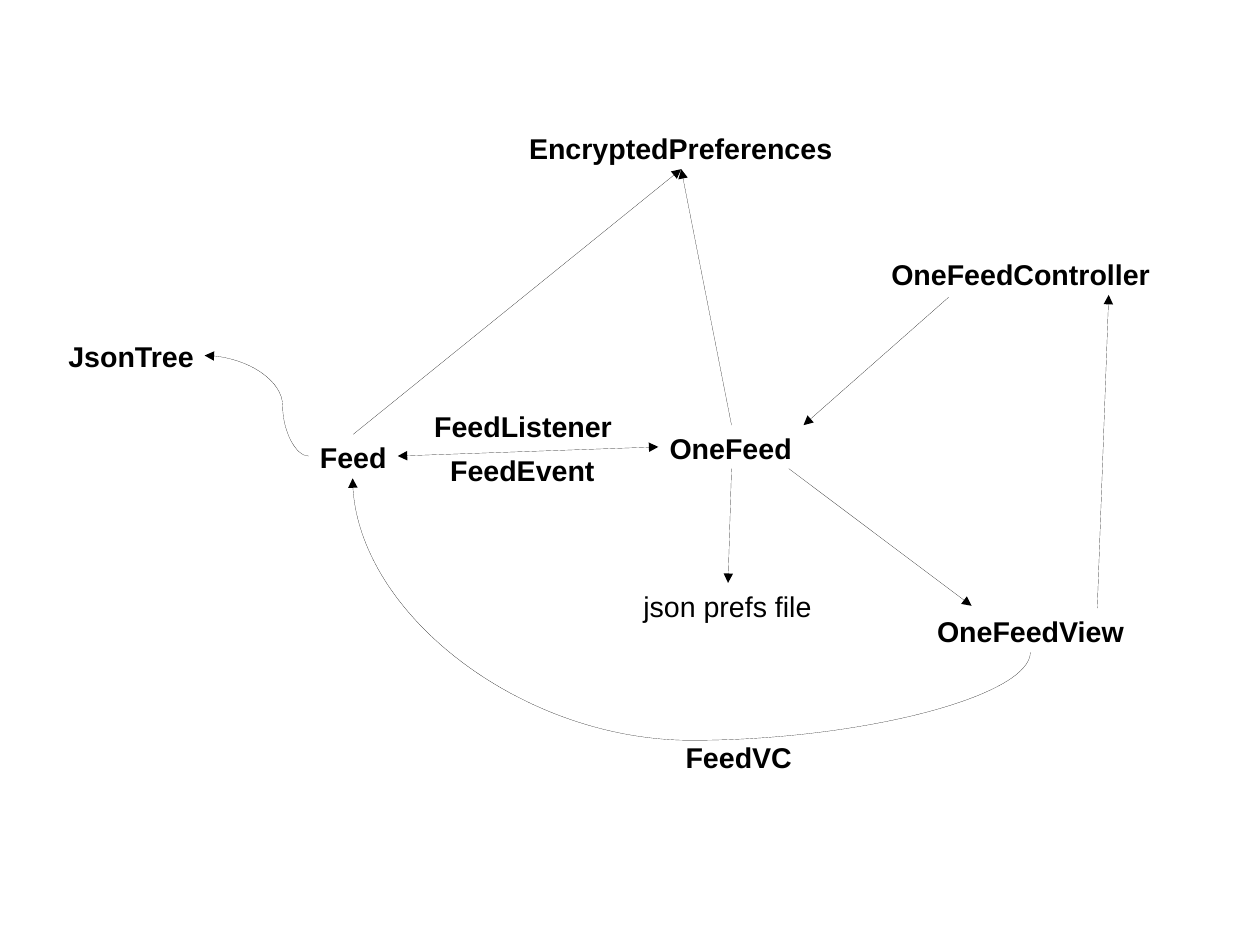
import pptx
import pptx.dml.color
import pptx.enum.shapes
import pptx.enum.text
import pptx.oxml
import pptx.oxml.ns
import pptx.util
from pptx.util import Inches

THEME = {
    "ink": pptx.dml.color.RGBColor(0, 0, 0),
    "font": "Arial",
    "text_size": pptx.util.Pt(18),
    "hairline": "0",
}
LABEL_HEIGHT = 0.38
CM_PER_INCH = 2.54
qn = pptx.oxml.ns.qn
Connector = pptx.enum.shapes.MSO_CONNECTOR

deck = pptx.Presentation()
deck.slide_width = Inches(28 / CM_PER_INCH)
deck.slide_height = Inches(21 / CM_PER_INCH)
page = deck.slides.add_slide(deck.slide_layouts[6])


def add_arrow(kind, start, end, ends=("tailEnd",)):
    """Draw a hairline connector with a triangle at each of the named ends."""
    arrow = page.shapes.add_connector(kind, *map(Inches, start + end))
    arrow.line.color.rgb = THEME["ink"]
    properties = arrow.element.spPr
    line = properties.find(qn("a:ln"))
    line.set("w", THEME["hairline"])  # the width property drops a zero
    for name in ends:
        line.append(line.makeelement(qn(f"a:{name}"), {"type": "triangle"}))
    properties.append(properties.makeelement(qn("a:effectLst"), {}))
    return arrow


# text, left, top, width, bold
labels = [
    ("OneFeed", 5.76, 3.72, 1.27, True),
    ("Feed", 2.7, 3.8, 0.78, True),
    ("OneFeedView", 8.1, 5.32, 1.83, True),
    ("OneFeedController", 7.7, 2.2, 2.46, True),
    ("JsonTree", 0.5, 2.92, 1.3, True),
    ("EncryptedPreferences", 4.53, 1.1, 2.85, True),
    ("FeedListener", 3.7, 3.53, 1.75, True),
    ("FeedEvent", 3.84, 3.91, 1.46, True),
    ("json prefs file", 5.53, 5.1, 1.67, False),
    ("FeedVC", 5.9, 6.42, 1.13, True),
]
for text, left, top, width, bold in labels:
    box = page.shapes.add_textbox(*map(Inches, (left, top, width, LABEL_HEIGHT)))
    box.text_frame.word_wrap = False
    box.text_frame.auto_size = pptx.enum.text.MSO_AUTO_SIZE.SHAPE_TO_FIT_TEXT
    box.text_frame.margin_right = Inches(0.05)  # keeps each name on one line
    span = box.text_frame.paragraphs[0].add_run()
    span.text = text
    span.font.name = THEME["font"]
    span.font.size = THEME["text_size"]
    span.font.bold = bold
    span.font.color.rgb = THEME["ink"]

straight_arrows = [
    ((8.3, 2.6), (7.03, 3.72)),   # OneFeedController to OneFeed
    ((9.6, 5.32), (9.7, 2.58)),   # OneFeedView to OneFeedController
    ((6.9, 4.1), (8.5, 5.3)),     # OneFeed to OneFeedView
    ((6.4, 4.1), (6.37, 5.1)),    # OneFeed to json prefs file
    ((6.4, 3.72), (5.96, 1.48)),  # OneFeed to EncryptedPreferences
    ((3.09, 3.8), (5.96, 1.48)),  # Feed to EncryptedPreferences
]
for start, end in straight_arrows:
    add_arrow(Connector.STRAIGHT, start, end)
add_arrow(Connector.STRAIGHT, (3.48, 3.99), (5.76, 3.91), ("headEnd", "tailEnd"))

# start and end before turning, clockwise degrees, bend in 1/100000 of the width
curved_arrows = [
    ((5.29, 7.91), (6.81, 1.98), 270, -50800),  # OneFeedView to Feed
    ((1.79, 3.11), (2.7, 3.99), 180, 25000),    # Feed to JsonTree
]
for start, end, degrees, bend in curved_arrows:
    curve = add_arrow(Connector.CURVE, start, end)
    properties = curve.element.spPr
    properties.find(qn("a:xfrm")).set("rot", str(degrees * 60000))
    guides = properties.find(qn("a:prstGeom")).find(qn("a:avLst"))
    guides.append(guides.makeelement(qn("a:gd"), {"name": "adj1", "fmla": f"val {bend}"}))

deck.save("out.pptx")
